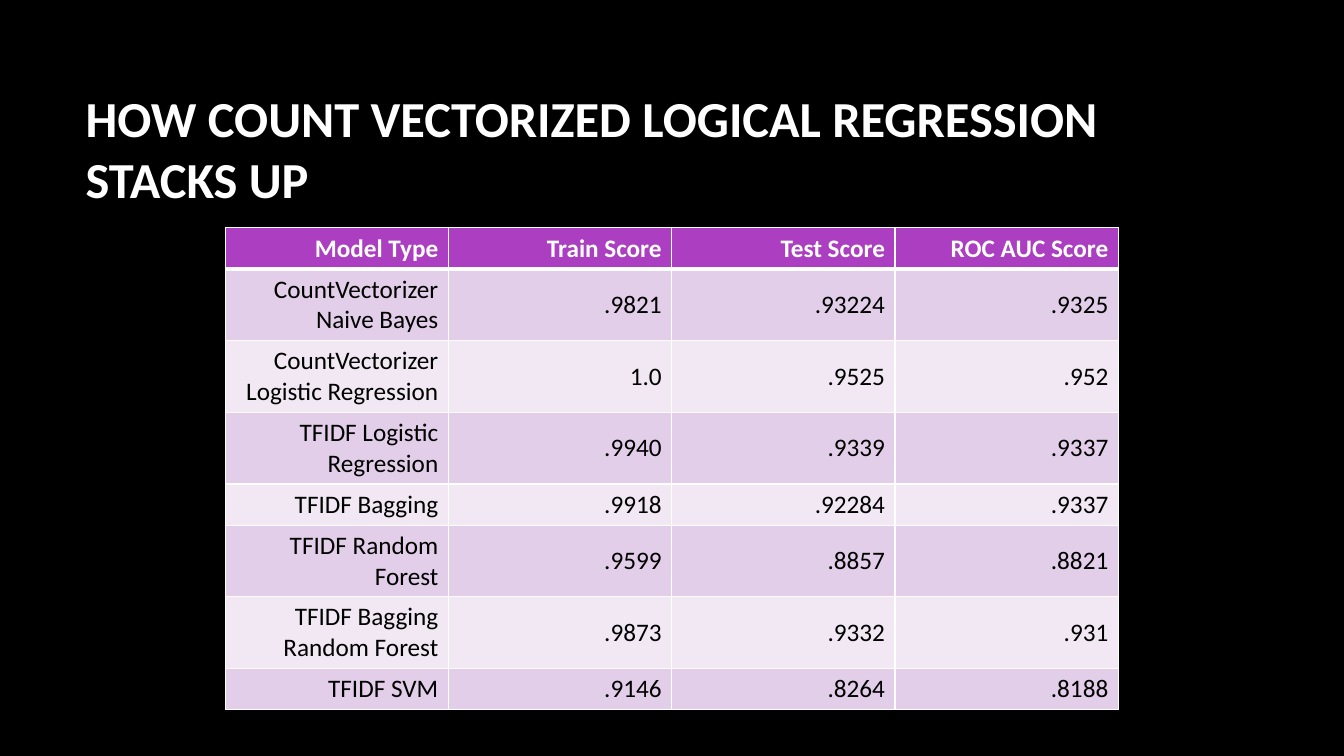
"""Build the slide that compares the scores of the text classifiers."""
import dataclasses

import lxml.etree
import pptx
import pptx.dml.color
import pptx.enum.text
import pptx.oxml.ns
import pptx.util


@dataclasses.dataclass(frozen=True)
class Theme:
    """Hold the colours, font and type sizes of the slide."""
    font: str = "Calibri"
    background: str = "000000"
    light: str = "FFFFFF"
    dark: str = "000000"
    header: str = "AC3EC1"
    bands: tuple = ("E3CEE9", "F1E8F4")
    title_size: int = 36
    table_size: int = 18
    thin: int = 1
    thick: int = 3


THEME = Theme()
WIDTH = pptx.util.Inches(13.33)
HEIGHT = pptx.util.Inches(7.5)
ONE_LINE, TWO_LINES = 5.47, 9.47
LONGEST_LINE = 14
SCORES = [
    ("Model Type", "Train Score", "Test Score", "ROC AUC Score"),
    ("CountVectorizer Naive Bayes", ".9821", ".93224", ".9325"),
    ("CountVectorizer Logistic Regression", "1.0", ".9525", ".952"),
    ("TFIDF Logistic Regression", ".9940", ".9339", ".9337"),
    ("TFIDF Bagging", ".9918", ".92284", ".9337"),
    ("TFIDF Random Forest", ".9599", ".8857", ".8821"),
    ("TFIDF Bagging Random Forest", ".9873", ".9332", ".931"),
    ("TFIDF SVM", ".9146", ".8264", ".8188"),
]


def across(percent):
    """Return a share of the slide's width."""
    return round(WIDTH * percent / 100)


def down(percent):
    """Return a share of the slide's height."""
    return round(HEIGHT * percent / 100)


def paint(fill, colour):
    """Give a fill one solid colour."""
    fill.solid()
    fill.fore_color.rgb = pptx.dml.color.RGBColor.from_string(colour)


def style(para, size, colour, bold):
    """Set the font of a paragraph."""
    para.font.name = THEME.font
    para.font.size = pptx.util.Pt(size)
    para.font.bold = bold
    para.font.color.rgb = pptx.dml.color.RGBColor.from_string(colour)


def add_title(page, text):
    """Add the slide's heading."""
    box = page.shapes.add_textbox(across(5.63), down(8.93), across(83.12), down(21.2))
    frame = box.text_frame
    frame.word_wrap = True
    frame.vertical_anchor = pptx.enum.text.MSO_ANCHOR.MIDDLE
    frame.text = text
    style(frame.paragraphs[0], THEME.title_size, THEME.light, True)


def add_borders(cell, top, bottom):
    """Draw the four borders of a cell, with widths in points."""
    widths = {"L": THEME.thin, "R": THEME.thin, "T": top, "B": bottom}
    properties = cell._tc.get_or_add_tcPr()
    for position, (side, width) in enumerate(widths.items()):
        line = lxml.etree.Element(pptx.oxml.ns.qn(f"a:ln{side}"), w=str(pptx.util.Pt(width)))
        solid = lxml.etree.SubElement(line, pptx.oxml.ns.qn("a:solidFill"))
        lxml.etree.SubElement(solid, pptx.oxml.ns.qn("a:srgbClr"), val=THEME.light)
        properties.insert(position, line)


def fill_cell(cell, text, row):
    """Write and style one cell of the table according to its row."""
    is_header = row == 0
    cell.text = text
    cell.vertical_anchor = pptx.enum.text.MSO_ANCHOR.MIDDLE
    para = cell.text_frame.paragraphs[0]
    para.alignment = pptx.enum.text.PP_ALIGN.RIGHT
    style(para, THEME.table_size, THEME.light if is_header else THEME.dark, is_header)
    paint(cell.fill, THEME.header if is_header else THEME.bands[(row - 1) % 2])
    add_borders(cell, THEME.thick if row == 1 else THEME.thin,
                THEME.thick if is_header else THEME.thin)


def add_score_table(page, scores):
    """Add the table of scores, with taller rows for long model names."""
    heights = [down(TWO_LINES if len(line[0]) > LONGEST_LINE else ONE_LINE) for line in scores]
    table = page.shapes.add_table(len(scores), len(scores[0]), across(16.75), down(30.13),
                                  across(66.47), sum(heights)).table
    for row, line in enumerate(scores):
        table.rows[row].height = heights[row]
        for column, text in enumerate(line):
            fill_cell(table.cell(row, column), text, row)


def main():
    """Build and save the deck."""
    deck = pptx.Presentation()
    deck.slide_width, deck.slide_height = WIDTH, HEIGHT
    page = deck.slides.add_slide(deck.slide_layouts[6])
    paint(page.background.fill, THEME.background)
    add_title(page, "HOW COUNT VECTORIZED LOGICAL REGRESSION STACKS UP")
    add_score_table(page, SCORES)
    deck.save("out.pptx")


if __name__ == "__main__":
    main()
